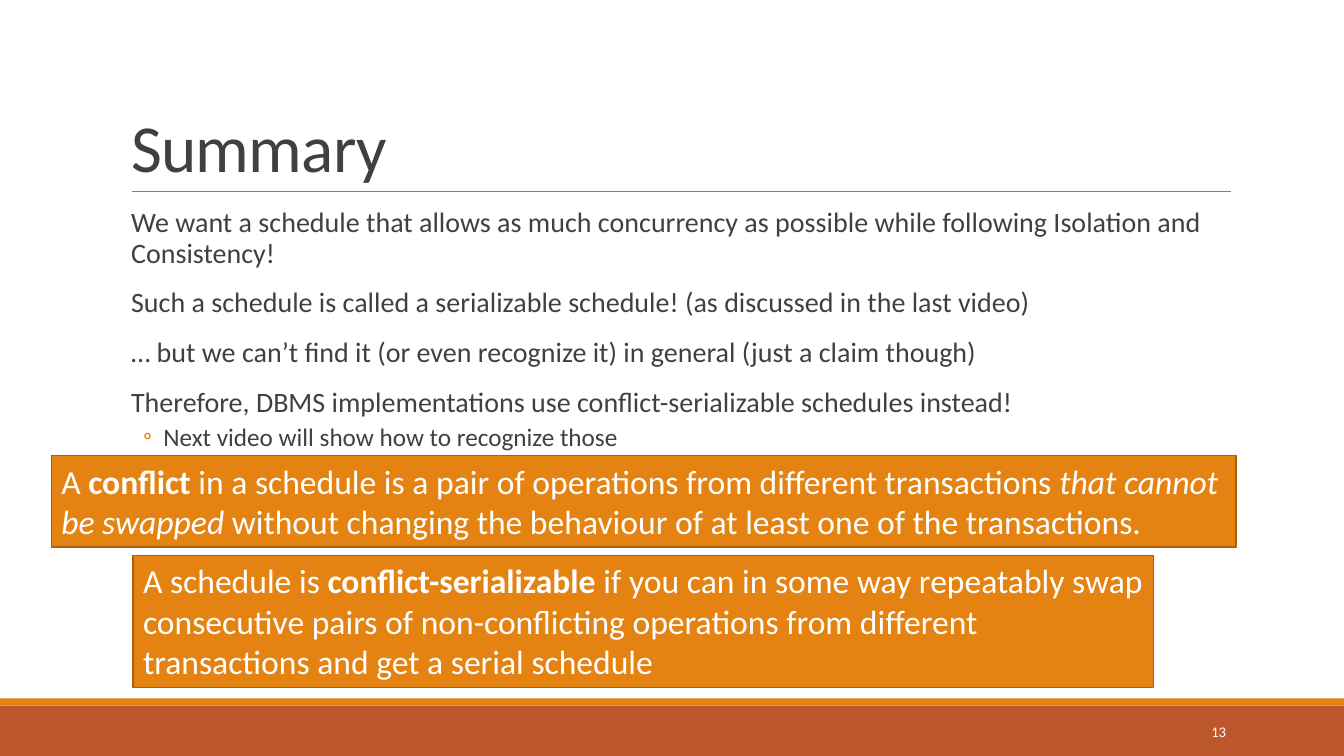
import pptx
import pptx.dml.color
import pptx.enum.shapes
import pptx.enum.text
import pptx.oxml.ns
import pptx.util
from lxml import etree
from pptx.util import Inches

ANCHOR = pptx.enum.text.MSO_ANCHOR
ALIGN = pptx.enum.text.PP_ALIGN
ORANGE, RUST, BROWN = "E48312", "BD582C", "A9610D"
DARK, GREY, WHITE = "404040", "808080", "FFFFFF"

BODY_LINES = [
    "We want a schedule that allows as much concurrency as possible while following "
    "Isolation and Consistency!",
    "Such a schedule is called a serializable schedule! (as discussed in the last video)",
    "… but we can’t find it (or even recognize it) in general (just a claim though)",
    "Therefore, DBMS implementations use conflict-serializable schedules instead!",
]
SUB_LINE = "Next video will show how to recognize those"

CONFLICT = [
    ("A ", {}),
    ("conflict", {"bold": True}),
    (" in a schedule is a pair of operations from different transactions ", {}),
    ("that cannot be swapped ", {"italic": True}),
    ("without changing the behaviour of at least one of the transactions.", {}),
]
SERIALIZABLE = [
    ("A schedule is ", {}),
    ("conflict-serializable", {"bold": True}),
    (" if you can in some way repeatably swap consecutive pairs of non-conflicting "
     "operations from different transactions and get a serial schedule", {}),
]


def color(value):
    return pptx.dml.color.RGBColor.from_string(value)


def apply(target, formats):
    for name, value in formats.items():
        setattr(target, name, value)


def place(shape, left, top, width, height):
    apply(shape, {"left": Inches(left), "top": Inches(top),
                  "width": Inches(width), "height": Inches(height)})


def set_frame(shape, **formats):
    apply(shape.text_frame, {"word_wrap": True,
                             "auto_size": pptx.enum.text.MSO_AUTO_SIZE.NONE, **formats})


def add_run(paragraph, text, size, font_color, **formats):
    run = paragraph.add_run()
    run.text = text
    apply(run.font, {"name": "Calibri", "size": pptx.util.Pt(size), **formats})
    run.font.color.rgb = color(font_color)
    return run


def set_bullet(paragraph, margin, indent, character=None):
    properties = paragraph._p.get_or_add_pPr()
    properties.set("marL", str(Inches(margin)))
    properties.set("indent", str(Inches(indent)))
    qualified = pptx.oxml.ns.qn
    if character is None:
        etree.SubElement(properties, qualified("a:buNone"))
        return
    bullet_color = etree.SubElement(properties, qualified("a:buClr"))
    etree.SubElement(bullet_color, qualified("a:srgbClr"), val=ORANGE)
    etree.SubElement(properties, qualified("a:buFont"), typeface="Calibri")
    etree.SubElement(properties, qualified("a:buChar"), char=character)


def add_rectangle(slide, box, fill, line=None):
    shape = slide.shapes.add_shape(pptx.enum.shapes.MSO_SHAPE.RECTANGLE,
                                   *map(Inches, box))
    shape.shadow.inherit = False
    shape.fill.solid()
    shape.fill.fore_color.rgb = color(fill)
    if line:
        shape.line.color.rgb = color(line)
        shape.line.width = pptx.util.Pt(1.25)
    else:
        shape.line.fill.background()
    return shape


def add_rule(slide, left, right, top):
    rule = slide.shapes.add_connector(pptx.enum.shapes.MSO_CONNECTOR.STRAIGHT,
                                      *map(Inches, (left, top, right, top)))
    rule.line.color.rgb = color(GREY)
    rule.line.width = pptx.util.Pt(0.5)
    etree.SubElement(rule._element.spPr, pptx.oxml.ns.qn("a:effectLst"))


def add_definition(slide, box, parts):
    shape = add_rectangle(slide, box, ORANGE, BROWN)
    set_frame(shape, vertical_anchor=ANCHOR.TOP)
    paragraph = shape.text_frame.paragraphs[0]
    paragraph.alignment = ALIGN.LEFT
    for text, formats in parts:
        add_run(paragraph, text, 24, WHITE, **formats)


def fill_title(title, text):
    place(title, 1.2, 0.31, 11, 1.59)
    set_frame(title, vertical_anchor=ANCHOR.BOTTOM)
    paragraph = title.text_frame.paragraphs[0]
    apply(paragraph, {"alignment": ALIGN.LEFT, "line_spacing": 0.85})
    run = add_run(paragraph, text, 48, DARK)
    run._r.get_or_add_rPr().set("spc", "-50")


def fill_body(body):
    place(body, 1.2, 2.02, 11, 4.4)
    set_frame(body, vertical_anchor=ANCHOR.TOP, margin_left=0, margin_right=0)
    lines = [(text, 0) for text in BODY_LINES] + [(SUB_LINE, 1)]
    for index, (text, level) in enumerate(lines):
        frame = body.text_frame
        paragraph = frame.add_paragraph() if index else frame.paragraphs[0]
        if level:
            set_bullet(paragraph, 0.42, -0.2, "◦")
            size, before, after = 18, 2, 4
        else:
            set_bullet(paragraph, 0.1, 0)
            size, before, after = 20, 12 if index else 0, 2
        apply(paragraph, {"level": level, "line_spacing": 0.9,
                          "space_before": pptx.util.Pt(before),
                          "space_after": pptx.util.Pt(after)})
        add_run(paragraph, text, size, DARK)


def add_page_number(slide, number):
    box = slide.shapes.add_textbox(*map(Inches, (10.83, 7.06, 1.43, 0.4)))
    set_frame(box, vertical_anchor=ANCHOR.MIDDLE)
    paragraph = box.text_frame.paragraphs[0]
    paragraph.alignment = ALIGN.RIGHT
    add_run(paragraph, number, 10.5, WHITE)


def main():
    presentation = pptx.Presentation()
    apply(presentation, {"slide_width": Inches(13.33), "slide_height": Inches(7.5)})
    slide = presentation.slides.add_slide(presentation.slide_layouts[1])

    # Footer bands and title rule
    add_rectangle(slide, (0, 7, 13.33, 0.5), RUST)
    add_rectangle(slide, (0, 6.93, 13.33, 0.07), ORANGE)
    add_rule(slide, 1.31, 12.21, 1.9)

    # Title, list and page number
    fill_title(slide.shapes.title, "Summary")
    fill_body(slide.placeholders[1])
    add_page_number(slide, "13")

    # Definitions
    add_definition(slide, (0.51, 4.52, 11.75, 0.91), CONFLICT)
    add_definition(slide, (1.32, 5.51, 10.12, 1.31), SERIALIZABLE)

    presentation.save("out.pptx")


if __name__ == "__main__":
    main()
